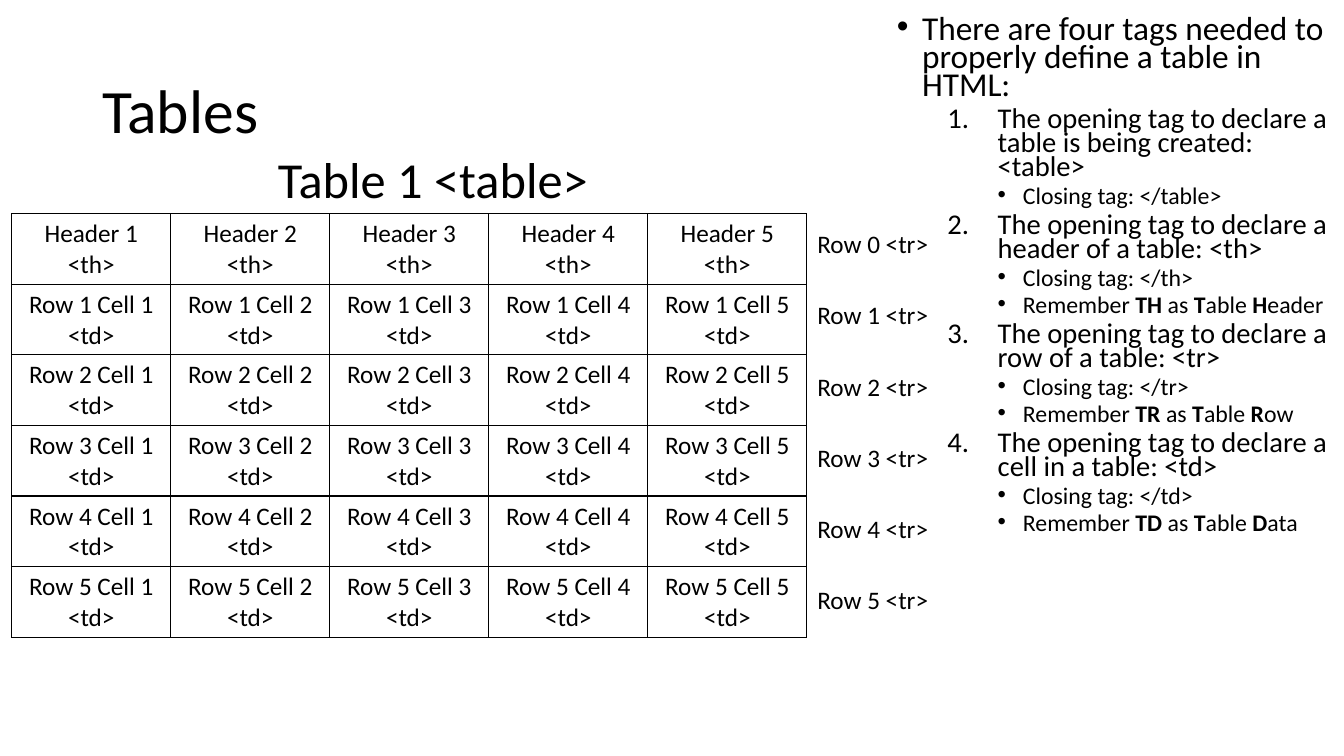
from lxml.etree import SubElement
from pptx import Presentation
from pptx.dml.color import RGBColor
from pptx.enum.text import MSO_ANCHOR, PP_ALIGN
from pptx.oxml.ns import qn
from pptx.util import Pt

BLACK = RGBColor(0, 0, 0)
FONT = "Calibri"
COLUMNS = 5
ROWS = 6

INTRO, TAG, NOTE = range(3)
LEVELS = {
    INTRO: (23.8, 10, 18, -18),
    TAG: (20.4, 5, 72, -36),
    NOTE: (17, 5, 90, -18),
}
OUTLINE = [
    (INTRO, "There are four tags needed to properly define a table in HTML:"),
    (TAG, "The opening tag to declare a table is being created: <table>"),
    (NOTE, "Closing tag: </table>"),
    (TAG, "The opening tag to declare a header of a table: <th>"),
    (NOTE, "Closing tag: </th>"),
    (NOTE, "Remember *TH *as *T*able *H*eader"),
    (TAG, "The opening tag to declare a row of a table: <tr>"),
    (NOTE, "Closing tag: </tr>"),
    (NOTE, "Remember *TR* as *T*able *R*ow"),
    (TAG, "The opening tag to declare a cell in a table: <td>"),
    (NOTE, "Closing tag: </td>"),
    (NOTE, "Remember *TD *as *T*able *D*ata"),
]


def style_runs(paragraph, size):
    for run in paragraph.runs:
        run.font.name = FONT
        run.font.size = Pt(size)
        run.font.color.rgb = BLACK


def add_frame(slide, box, wrap=True):
    frame = slide.shapes.add_textbox(*map(Pt, box)).text_frame
    frame.word_wrap = wrap
    return frame


def add_heading(slide, box, wording, size):
    frame = add_frame(slide, box)
    frame.vertical_anchor = MSO_ANCHOR.MIDDLE
    frame.text = wording
    heading = frame.paragraphs[0]
    heading.line_spacing = 0.9
    style_runs(heading, size)


def set_marker(paragraph, level, margin, indent):
    properties = paragraph._p.get_or_add_pPr()
    properties.set("marL", str(Pt(margin)))
    properties.set("indent", str(Pt(indent)))
    if level == TAG:
        SubElement(properties, qn("a:buFont"), typeface="+mj-lt")
        SubElement(properties, qn("a:buAutoNum"), type="arabicPeriod")
    else:
        SubElement(properties, qn("a:buFont"), typeface="Arial")
        SubElement(properties, qn("a:buChar"), char="•")


def add_outline(slide, box):
    frame = add_frame(slide, box)
    for index, (level, wording) in enumerate(OUTLINE):
        item = frame.add_paragraph() if index else frame.paragraphs[0]
        size, space, margin, indent = LEVELS[level]
        item.level = level
        item.line_spacing = 0.7
        item.space_before = Pt(space)
        set_marker(item, level, margin, indent)
        for position, part in enumerate(wording.split("*")):
            run = item.add_run()
            run.text = part
            run.font.bold = position % 2 == 1
        style_runs(item, size)


def set_borders(cell):
    properties = cell._tc.get_or_add_tcPr()
    for side in ("lnL", "lnR", "lnT", "lnB"):
        border = SubElement(properties, qn(f"a:{side}"), w=str(Pt(1)))
        fill = SubElement(border, qn("a:solidFill"))
        SubElement(fill, qn("a:srgbClr"), val=str(BLACK))


def add_tag_table(slide, box):
    left, top, width, height = box
    table = slide.shapes.add_table(ROWS, COLUMNS, *map(Pt, box)).table
    table.first_row = False
    table.horz_banding = False
    for column in table.columns:
        column.width = Pt(width / COLUMNS)
    for row_number, row in enumerate(table.rows):
        row.height = Pt(height / ROWS)
        for column_number, cell in enumerate(row.cells, start=1):
            if row_number:
                cell.text = f"Row {row_number} Cell {column_number} <td>"
            else:
                cell.text = f"Header {column_number} <th>"
            cell.vertical_anchor = MSO_ANCHOR.MIDDLE
            label = cell.text_frame.paragraphs[0]
            label.alignment = PP_ALIGN.CENTER
            style_runs(label, 18)
            set_borders(cell)
            cell.fill.background()


def add_caption(slide, box):
    frame = add_frame(slide, box)
    frame.text = "Table 1 <table>"
    style_runs(frame.paragraphs[0], 36)


def add_row_labels(slide, box):
    frame = add_frame(slide, box, wrap=False)
    frame.text = "\n".join(f"Row {number} <tr>" for number in range(ROWS))
    for number, label in enumerate(frame.paragraphs):
        label.space_before = Pt(29.2 if number else 3.6)
        style_runs(label, 18)


def build_tables_slide(presentation):
    slide = presentation.slides.add_slide(presentation.slide_layouts[6])
    add_heading(slide, (66, 28.8, 828, 104.4), "Tables", 44)
    add_outline(slide, (633.6, 9.4, 332, 360))
    add_tag_table(slide, (8.4, 152.6, 568, 302.4))
    add_caption(slide, (191.5, 102.2, 273.6, 51))
    add_row_labels(slide, (576.7, 159.8, 94.3, 287.3))


presentation = Presentation()
presentation.slide_width = Pt(960)
presentation.slide_height = Pt(540)
build_tables_slide(presentation)
presentation.save("out.pptx")
